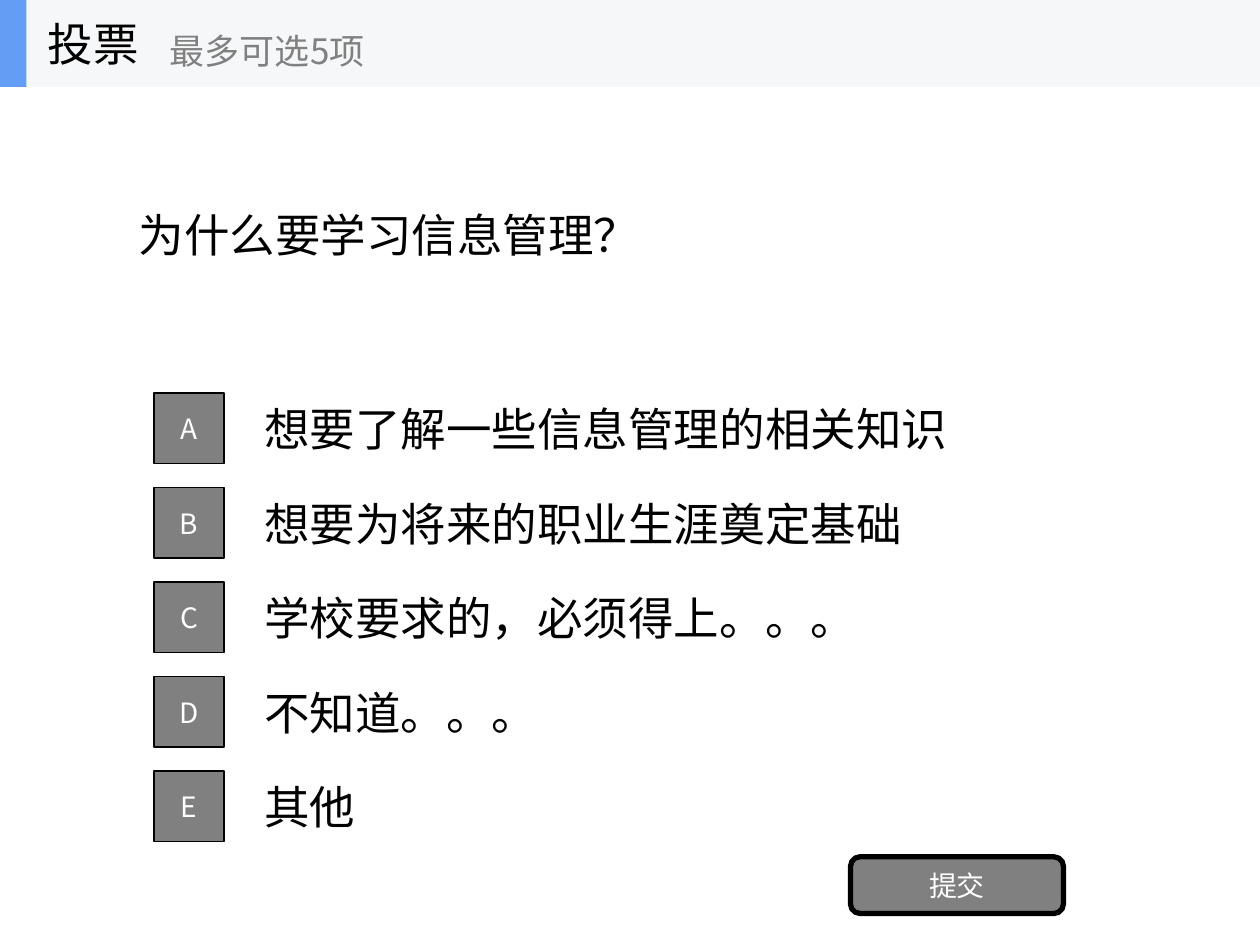
import pptx
import pptx.util
import pptx.dml.color
import pptx.enum.shapes
import pptx.enum.text
import lxml.etree
from dataclasses import dataclass

Inches = pptx.util.Inches
Shape = pptx.enum.shapes.MSO_SHAPE
Align = pptx.enum.text.PP_ALIGN


@dataclass
class Theme:
    font: str = "Noto Sans CJK SC"
    black: str = "000000"
    white: str = "FFFFFF"
    gray: str = "808080"
    pale: str = "F6F7F8"
    blue: str = "639EF4"
    large: int = 26
    mid: int = 20
    small: int = 16


theme = Theme()


def write(box, text, size, color, align=Align.LEFT, wrap=True):
    frame = box.text_frame
    frame.word_wrap = wrap
    frame.auto_size = pptx.enum.text.MSO_AUTO_SIZE.NONE
    frame.vertical_anchor = pptx.enum.text.MSO_ANCHOR.MIDDLE
    para = frame.paragraphs[0]
    para.alignment = align
    run = para.add_run()
    run.text = text
    run.font.size = pptx.util.Pt(size)
    run.font.name = theme.font
    run.font.color.rgb = pptx.dml.color.RGBColor.from_string(color)
    east = lxml.etree.SubElement(run.font._element, pptx.oxml.ns.qn("a:ea"))
    east.set("typeface", theme.font)


def block(shapes, kind, left, top, width, height, fill, line=0):
    box = shapes.add_shape(kind, Inches(left), Inches(top), Inches(width), Inches(height))
    box.shadow.inherit = False
    box.fill.solid()
    box.fill.fore_color.rgb = pptx.dml.color.RGBColor.from_string(fill)
    if line:
        box.line.width = pptx.util.Pt(line)
        box.line.color.rgb = pptx.dml.color.RGBColor.from_string(theme.black)
    else:
        box.line.fill.background()
    return box


deck = pptx.Presentation()
deck.slide_width = Inches(10)
deck.slide_height = Inches(7.5)
slide = deck.slides.add_slide(deck.slide_layouts[5])
shapes = slide.shapes

title = shapes.title
title.left, title.top = Inches(1), Inches(0.69)
title.width, title.height = Inches(8), Inches(2.34)
write(title, "为什么要学习信息管理？", theme.large, theme.black)

answers = [
    "想要了解一些信息管理的相关知识",
    "想要为将来的职业生涯奠定基础",
    "学校要求的，必须得上。。。",
    "不知道。。。",
    "其他",
]
for row, (letter, answer) in enumerate(zip("ABCDE", answers)):
    top = 3.05 + 0.75 * row
    label = shapes.add_textbox(Inches(2), Inches(top), Inches(7), Inches(0.7))
    write(label, answer, theme.large, theme.black)
    key = block(shapes, Shape.RECTANGLE, 1.22, top + 0.07, 0.56, 0.56, theme.gray, 1)
    write(key, letter, theme.small, theme.white, Align.CENTER)

button = block(shapes, Shape.ROUNDED_RECTANGLE, 6.75, 6.8, 1.69, 0.45, theme.gray, 3)
write(button, "提交", theme.small, theme.white, Align.CENTER)

header = shapes.add_group_shape().shapes
block(header, Shape.RECTANGLE, 0, 0, 10, 0.69, theme.pale)
block(header, Shape.RECTANGLE, 0, 0, 0.21, 0.69, theme.blue)
name = header.add_textbox(Inches(0.28), Inches(0), Inches(2.08), Inches(0.69))
write(name, "投票", theme.large, theme.black, wrap=False)
hint = header.add_textbox(Inches(1.25), Inches(0.12), Inches(2.5), Inches(0.56))
write(hint, "最多可选5项", theme.mid, theme.gray, wrap=False)

deck.save("out.pptx")
